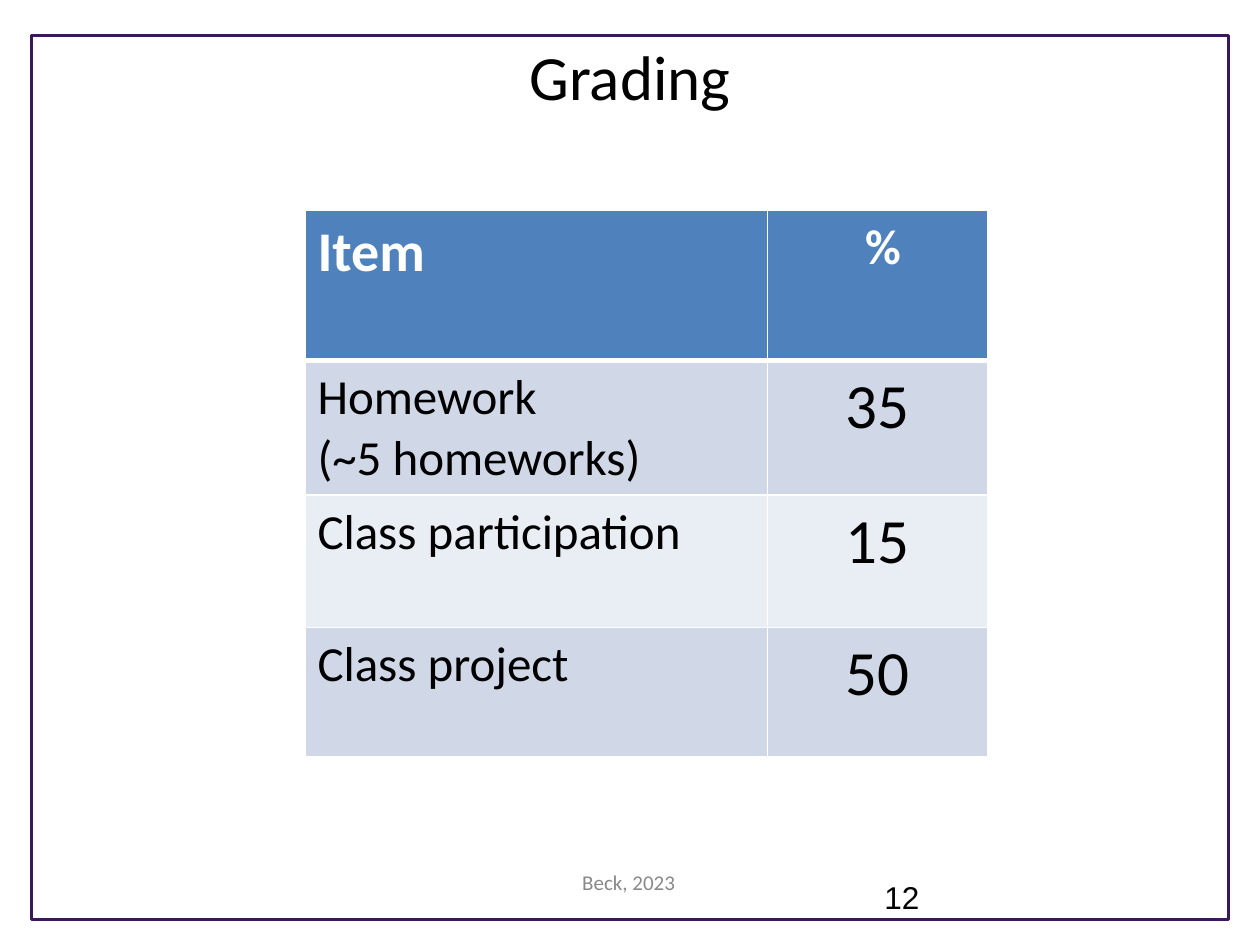
"""Build the course grading slide."""
from dataclasses import dataclass

from lxml import etree
from pptx import Presentation
from pptx import util as u
from pptx.dml.color import RGBColor
from pptx.enum import shapes, text
from pptx.oxml import ns


@dataclass(frozen=True)
class Theme:
    frame: str = "3B185A"
    ink: str = "000000"
    white: str = "FFFFFF"
    muted: str = "898989"
    header: str = "4F81BD"
    bands: tuple[str, str] = ("D0D8E8", "E9EDF4")
    body_font: str = "Calibri"
    number_font: str = "Arial"
    large: int = 36
    heading: int = 32
    body: int = 28
    page_number: int = 18
    footer: int = 12
    thin: float = 0.91
    thick: float = 2.95
    outline: float = 1.75


@dataclass(frozen=True)
class Label:
    words: str
    left: float
    top: float
    width: float
    height: float
    size: int
    color: str
    font: str = "Calibri"
    centered: bool = True


@dataclass(frozen=True)
class GradeRow:
    item: str
    percent: str
    height: float


THEME = Theme()
LABELS = (
    Label("Grading", 0.5, 0.25, 9, 0.92, THEME.large, THEME.ink),
    Label("12", 6.92, 6.92, 1.92, 0.4, THEME.page_number, THEME.ink,
          THEME.number_font, False),
    Label("Beck, 2023", 3.41, 6.85, 3.16, 0.4, THEME.footer, THEME.muted),
)
ROWS = (
    GradeRow("Item", " %", 1.19),
    GradeRow("Homework\n(~5 homeworks)", "35", 1.05),
    GradeRow("Class participation", "15", 1.05),
    GradeRow("Class project", "50", 1.03),
)
COLUMNS = (3.67, 1.75)


def write_text(frame, words: str, *, size: int, color: str,
               font: str = THEME.body_font, bold: bool = False,
               centered: bool = False, spacing: float | None = None) -> None:
    """Write one formatted paragraph for each line of words."""
    frame.word_wrap = True
    for index, line in enumerate(words.split("\n")):
        para = frame.add_paragraph() if index else frame.paragraphs[0]
        para.alignment = text.PP_ALIGN.CENTER if centered else text.PP_ALIGN.LEFT
        para.line_spacing = spacing
        span = para.add_run()
        span.text = line
        span.font.name = font
        span.font.size = u.Pt(size)
        span.font.bold = bold
        span.font.color.rgb = RGBColor.from_string(color)


def draw_frame(page) -> None:
    """Draw the outline around the page."""
    frame = page.shapes.add_shape(
        shapes.MSO_SHAPE.RECTANGLE,
        u.Inches(0.25), u.Inches(0.28), u.Inches(9.5), u.Inches(7.02))
    frame.shadow.inherit = False
    frame.fill.background()
    frame.line.color.rgb = RGBColor.from_string(THEME.frame)
    frame.line.width = u.Pt(THEME.outline)


def draw_label(page, label: Label) -> None:
    """Draw a text box."""
    box = page.shapes.add_textbox(
        u.Inches(label.left), u.Inches(label.top),
        u.Inches(label.width), u.Inches(label.height))
    write_text(box.text_frame, label.words, size=label.size, color=label.color,
               font=label.font, centered=label.centered)


def set_borders(cell, widths: dict[str, float]) -> None:
    """Give a cell white borders of the given widths in points."""
    properties = cell._tc.get_or_add_tcPr()
    for position, (side, width) in enumerate(widths.items()):
        line = etree.Element(ns.qn(f"a:ln{side}"), w=str(int(u.Pt(width))))
        fill = etree.SubElement(line, ns.qn("a:solidFill"))
        etree.SubElement(fill, ns.qn("a:srgbClr"), val=THEME.white)
        properties.insert(position, line)


def draw_grades(page) -> None:
    """Draw the table of graded items."""
    table = page.shapes.add_table(
        len(ROWS), len(COLUMNS), u.Inches(2.42), u.Inches(1.67),
        u.Inches(sum(COLUMNS)), u.Inches(sum(row.height for row in ROWS))).table
    for column, width in zip(table.columns, COLUMNS):
        column.width = u.Inches(width)
    for index, row in enumerate(ROWS):
        table.rows[index].height = u.Inches(row.height)
        is_header = index == 0
        fill = THEME.header if is_header else THEME.bands[(index - 1) % 2]
        sizes = ((THEME.heading, THEME.body) if is_header
                 else (THEME.body, THEME.large))
        borders = {"L": THEME.thin, "R": THEME.thin,
                   "T": THEME.thick if index == 1 else THEME.thin,
                   "B": THEME.thick if is_header else THEME.thin}
        for column, words in enumerate((row.item, row.percent)):
            cell = table.cell(index, column)
            cell.fill.solid()
            cell.fill.fore_color.rgb = RGBColor.from_string(fill)
            set_borders(cell, borders)
            write_text(cell.text_frame, words, size=sizes[column],
                       color=THEME.white if is_header else THEME.ink,
                       bold=is_header, centered=column == 1, spacing=1.02)


def main() -> None:
    """Build and save the deck."""
    deck = Presentation()
    deck.slide_width, deck.slide_height = u.Inches(10), u.Inches(7.5)
    page = deck.slides.add_slide(deck.slide_layouts[6])
    draw_frame(page)
    draw_grades(page)
    for label in LABELS:
        draw_label(page, label)
    deck.save("out.pptx")


if __name__ == "__main__":
    main()
